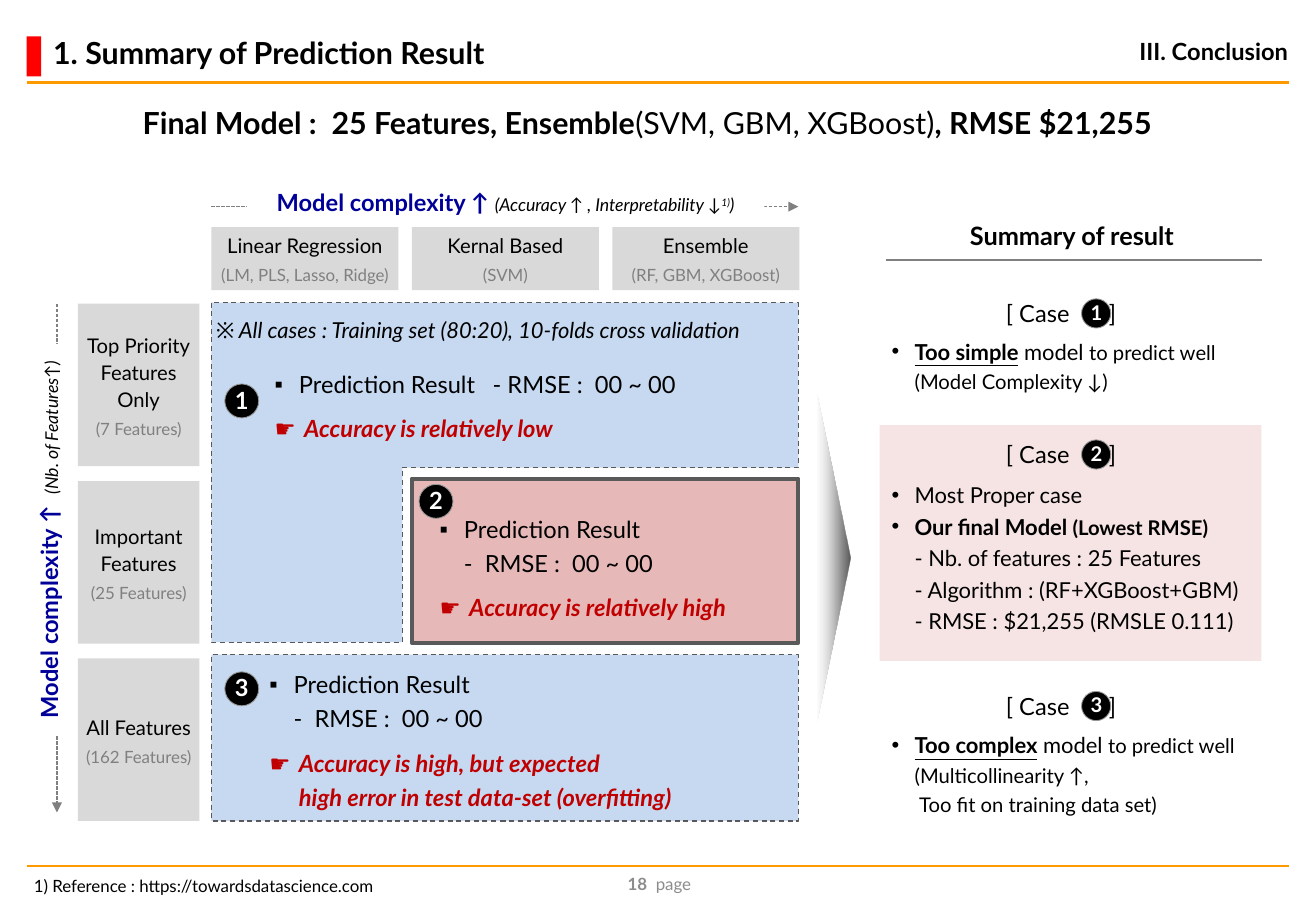
from dataclasses import dataclass
from typing import Optional

from lxml import etree
from pptx import Presentation
from pptx.dml.color import RGBColor
from pptx.enum.dml import MSO_LINE
from pptx.enum.shapes import MSO_CONNECTOR, MSO_SHAPE
from pptx.enum.text import MSO_ANCHOR, PP_ALIGN
from pptx.oxml.ns import qn
from pptx.util import Cm, Pt

LEFT, CENTER, RIGHT = PP_ALIGN.LEFT, PP_ALIGN.CENTER, PP_ALIGN.RIGHT
TOP, MIDDLE = MSO_ANCHOR.TOP, MSO_ANCHOR.MIDDLE
RECT, OVAL, TRIANGLE = MSO_SHAPE.RECTANGLE, MSO_SHAPE.OVAL, MSO_SHAPE.ISOSCELES_TRIANGLE
DASH, DOTS = MSO_LINE.DASH, MSO_LINE.SQUARE_DOT
FONT = "Lato"
BLACK, WHITE, GREY, DARK = "000000", "FFFFFF", "808080", "595959"
ORANGE, NAVY, CRIMSON, BLUE, PINK = "FF9900", "000099", "C00000", "C6D9F1", "E6B9B8"
DEFAULT_INSETS = (0.25, 0.13)


@dataclass
class Run:
    text: str
    size: Optional[float] = None
    color: Optional[str] = None
    bold: Optional[bool] = None
    italic: Optional[bool] = None
    underline: Optional[bool] = None
    raised: bool = False


@dataclass
class Para:
    runs: list[Run]
    size: float
    color: str = BLACK
    bold: Optional[bool] = None
    italic: Optional[bool] = None
    align: PP_ALIGN = LEFT
    spacing: float = 1.0
    before: float = 0
    bullet: str = ""
    indent: float = 0
    tab: float = 0


@dataclass
class Case:
    number: str
    badge: tuple[float, float]
    result_box: tuple[float, float, float, float]
    result: str
    verdict: str
    heading_top: float
    details_top: float
    details: list[Para]


def rgb(color: str) -> RGBColor:
    return RGBColor.from_string(color)


def set_font(font, style) -> None:
    for name in ("bold", "italic"):
        if getattr(style, name) is not None:
            setattr(font, name, getattr(style, name))
    if style.size:
        font.size = Pt(style.size)
    if style.color:
        font.color.rgb = rgb(style.color)


def write(shape, paras: list[Para], anchor=TOP, insets=DEFAULT_INSETS, wrap=True) -> None:
    frame = shape.text_frame
    frame.word_wrap, frame.vertical_anchor = wrap, anchor
    frame.margin_left = frame.margin_right = Cm(insets[0])
    frame.margin_top = frame.margin_bottom = Cm(insets[1])
    for i, para in enumerate(paras):
        p = frame.add_paragraph() if i else frame.paragraphs[0]
        props = p._p.get_or_add_pPr()
        if para.indent:
            props.set("marL", str(Cm(para.indent)))
            props.set("indent", str(-Cm(para.indent)))
        if para.bullet:
            etree.SubElement(props, qn("a:buFont"), typeface="Arial")
            etree.SubElement(props, qn("a:buChar"), char=para.bullet)
        if para.tab:
            tabs = etree.SubElement(props, qn("a:tabLst"))
            etree.SubElement(tabs, qn("a:tab"), pos=str(Cm(para.tab)), algn="l")
        p.alignment, p.line_spacing = para.align, para.spacing
        p.space_before = Pt(para.before if i else 0)
        p.font.name = FONT
        set_font(p.font, para)
        for part in para.runs:
            for n, line in enumerate(part.text.split("\n")):
                if n:
                    p.add_line_break()
                run = p.add_run()
                run.text = line
                set_font(run.font, part)
                if part.underline:
                    run.font.underline = True
                if part.raised:
                    run._r.get_or_add_rPr().set("baseline", "30000")


def style(shape, fill: str, line: str = "", width: float = 0.75, dash=None) -> None:
    shape.shadow.inherit = False
    shape.fill.solid()
    shape.fill.fore_color.rgb = rgb(fill)
    if line:
        shape.line.color.rgb, shape.line.width = rgb(line), Pt(width)
        if dash:
            shape.line.dash_style = dash
    else:
        shape.line.fill.background()


def add_block(slide, box, fill: str, kind=RECT, **outline):
    shape = slide.shapes.add_shape(kind, *map(Cm, box))
    style(shape, fill, **outline)
    return shape


def add_text(slide, box, paras: list[Para], anchor=TOP, insets=DEFAULT_INSETS) -> None:
    write(slide.shapes.add_textbox(*map(Cm, box)), paras, anchor, insets)


def add_line(slide, ends, color: str, width: float, arrow: bool = False) -> None:
    line = slide.shapes.add_connector(MSO_CONNECTOR.STRAIGHT, *map(Cm, ends))
    line.line.color.rgb, line.line.width = rgb(color), Pt(width)
    if arrow:
        line.line.dash_style = DOTS
        etree.SubElement(line.line._get_or_add_ln(), qn("a:tailEnd"), type="triangle")
    etree.SubElement(line._element.spPr, qn("a:effectLst"))


def add_badge(slide, x: float, y: float, diameter: float, number: str, size: float) -> None:
    badge = add_block(slide, (x, y, diameter, diameter), BLACK, OVAL, line="969696", width=0.5)
    write(badge, [Para([Run(number)], size, WHITE, True, align=CENTER, spacing=0.95)], MIDDLE, (0.1, 0.1))


def add_header(slide, box, name: str, note: str, spacing: float) -> None:
    write(add_block(slide, box, "D9D9D9"),
          [Para([Run(name)], 12, align=CENTER, spacing=spacing),
           Para([Run(note)], 10, GREY, align=CENTER, spacing=1.1, before=3)],
          MIDDLE, (0, 0.1), wrap=False)


def point(runs: list[Run], size: float = 13) -> Para:
    return Para(runs, size, spacing=1.2, bullet="•", indent=0.48)


FEATURE_SETS = [("Top Priority\nFeatures\nOnly", "(7 Features)"),
                ("Important\nFeatures", "(25 Features)"), ("All Features", "(162 Features)")]
MODELS = [("Linear Regression", "(LM, PLS, Lasso, Ridge)"), ("Kernal Based", "(SVM)"),
          ("Ensemble", "(RF, GBM, XGBoost)")]
CASES = [
    Case("1", (4.7, 8.03), (5.49, 7.49, 10.19, 1.9), "Prediction Result\t- RMSE :  00 ~ 00",
         "Accuracy is relatively low", 6.12, 6.83,
         [point([Run("Too simple", bold=True, underline=True), Run(" model "),
                 Run("to predict well\n(Model Complexity ↓)", 12)])]),
    Case("2", (8.76, 10.13), (8.94, 10.52, 7.82, 2.62), "Prediction Result\n-  RMSE :  00 ~ 00",
         "Accuracy is relatively high", 9.07, 9.83,
         [point([Run("Most Proper case")]),
          point([Run("Our final Model ", bold=True), Run("(Lowest RMSE)\n", 12, bold=True),
                 Run("- Nb. of features : 25 Features\n- Algorithm : (RF+XGBoost+GBM)\n"
                     "- RMSE : $21,255 (RMSLE 0.111)")])]),
    Case("3", (4.7, 14.05), (5.38, 13.77, 11.63, 3.35), "Prediction Result\n-  RMSE :  00 ~ 00",
         "Accuracy is high, but expected\nhigh error in test data-set (overfitting)", 14.33, 15.06,
         [point([Run("Too complex", bold=True, underline=True), Run(" model "),
                 Run("to predict well\n(Multicollinearity ↑,\n Too fit on training data set)", 12)])]),
]


def main() -> None:
    deck = Presentation()
    deck.slide_width, deck.slide_height = Cm(27.51), Cm(19.05)
    slide = deck.slides.add_slide(deck.slide_layouts[6])

    # Page frame
    for y in (1.73, 18.11):
        add_line(slide, (0.56, y, 26.95, y), ORANGE, 1.5)
    add_block(slide, (0.56, 0.76, 0.3, 0.84), "FF0000")
    add_text(slide, (0.86, 0.56, 14.91, 1.09),
             [Para([Run("1. Summary of Prediction Result")], 18, bold=True)], MIDDLE)
    add_text(slide, (15.14, 0.53, 12.04, 1.09),
             [Para([Run("III. Conclusion")], 14, bold=True, align=RIGHT)], MIDDLE)
    add_text(slide, (0.68, 2.08, 25.7, 0.97),
             [Para([Run("Final Model :  25 Features, Ensemble", bold=True), Run("(SVM, GBM, XGBoost)"),
                    Run(", RMSE $21,255", bold=True)], 18, align=CENTER)], insets=(0.08, 0.1))
    add_text(slide, (0.46, 18.19, 8.89, 0.69),
             [Para([Run("1) Reference : https://towardsdatascience.com")], 10)])
    add_text(slide, (10.57, 18.14, 6.43, 0.69),
             [Para([Run("18", bold=True), Run("  page")], 10, "8C8C8C", align=CENTER)], MIDDLE)

    # Matrix headers
    for i, (name, note) in enumerate(FEATURE_SETS):
        add_header(slide, (1.63, 6.35 + i * 3.71, 2.54, 3.4), name, note, 1.1)
    for i, (name, note) in enumerate(MODELS):
        add_header(slide, (4.42 + i * 4.19, 4.75, 3.91, 1.32), name, note, 1.0)

    # Complexity axes
    add_line(slide, (1.19, 6.35, 1.19, 16.99), GREY, 0.75, arrow=True)
    feature_axis = add_block(slide, (0.46, 7.19, 1.12, 8.18), WHITE)
    write(feature_axis, [Para([Run("Model complexity ↑  ", 14, NAVY, True),
                               Run("(Nb. of Features↑)", italic=True)], 10.5, align=CENTER)], MIDDLE)
    feature_axis.text_frame._txBody.bodyPr.set("vert", "vert270")
    add_line(slide, (4.42, 4.32, 16.69, 4.32), GREY, 0.75, arrow=True)
    write(add_block(slide, (5.16, 3.81, 10.82, 0.86), WHITE),
          [Para([Run("Model complexity ↑ ", 14, NAVY, True),
                 Run("(Accuracy ↑ , Interpretability ↓", italic=True),
                 Run("1)", italic=True, raised=True), Run(")", italic=True)], 10.5, align=CENTER)],
          insets=(0, 0.13))

    # Case regions
    add_block(slide, (4.42, 13.69, 12.27, 3.48), BLUE, line=DARK, dash=DASH)
    add_block(slide, (8.61, 10.01, 8.08, 3.43), PINK, line=DARK, width=2.5)
    corners = [(4.42, 13.43), (8.41, 13.43), (8.41, 9.78), (16.69, 9.78), (16.69, 6.33)]
    outline = slide.shapes.build_freeform(Cm(4.42), Cm(6.33))
    outline.add_line_segments([(Cm(x), Cm(y)) for x, y in corners])
    style(outline.convert_to_shape(), BLUE, DARK, dash=DASH)
    add_text(slide, (4.27, 6.38, 12.52, 0.91),
             [Para([Run("※ All cases : Training set (80:20), 10-folds cross validation")], 13,
                   italic=True, spacing=1.2)])

    # Arrow from the matrix to the summary
    arrow = add_block(slide, (14, 11.33, 6.88, 0.69), DARK, TRIANGLE)
    arrow.rotation = 90
    arrow.fill.gradient()
    arrow.fill.gradient_angle = 90
    stops = arrow._element.spPr.find(qn("a:gradFill")).find(qn("a:gsLst"))
    for stop in list(stops):
        stops.remove(stop)
    for position, color, alpha in ((0, "EAEAEA", 20), (49, "BFBFBF", 100), (100, DARK, 100)):
        stop = etree.SubElement(stops, qn("a:gs"), pos=str(position * 1000))
        shade = etree.SubElement(stop, qn("a:srgbClr"), val=color)
        etree.SubElement(shade, qn("a:alpha"), val=str(alpha * 1000))

    # Summary heading and final-model highlight
    add_text(slide, (18.5, 4.6, 7.82, 0.64),
             [Para([Run("Summary of result")], 15, bold=True, align=CENTER)], MIDDLE, (0.1, 0))
    add_line(slide, (18.52, 5.44, 26.39, 5.44), GREY, 1)
    highlight = add_block(slide, (18.39, 8.89, 7.98, 4.93), PINK)
    tint = highlight._element.spPr.find(qn("a:solidFill"))[0]
    etree.SubElement(tint, qn("a:alpha"), val="38000")

    # Cases: result in the matrix, then summary on the right
    for case in CASES:
        add_text(slide, case.result_box,
                 [Para([Run(case.result)], 14, spacing=1.2, bullet="▪", indent=0.51,
                       tab=4.56 if "\t" in case.result else 0),
                  Para([Run("☛\t" + case.verdict)], 14, CRIMSON, True, True, spacing=1.2,
                       before=6, indent=0.62)])
        add_badge(slide, *case.badge, 0.71, case.number, 14)
        add_text(slide, (20.78, case.heading_top, 3.3, 0.86), [Para([Run("[ Case\t]")], 14, tab=2.15)])
        add_badge(slide, 22.61, case.heading_top + 0.13, 0.61, case.number, 12)
        add_text(slide, (18.39, case.details_top, 8.5, 2), case.details)

    deck.save("out.pptx")


if __name__ == "__main__":
    main()
